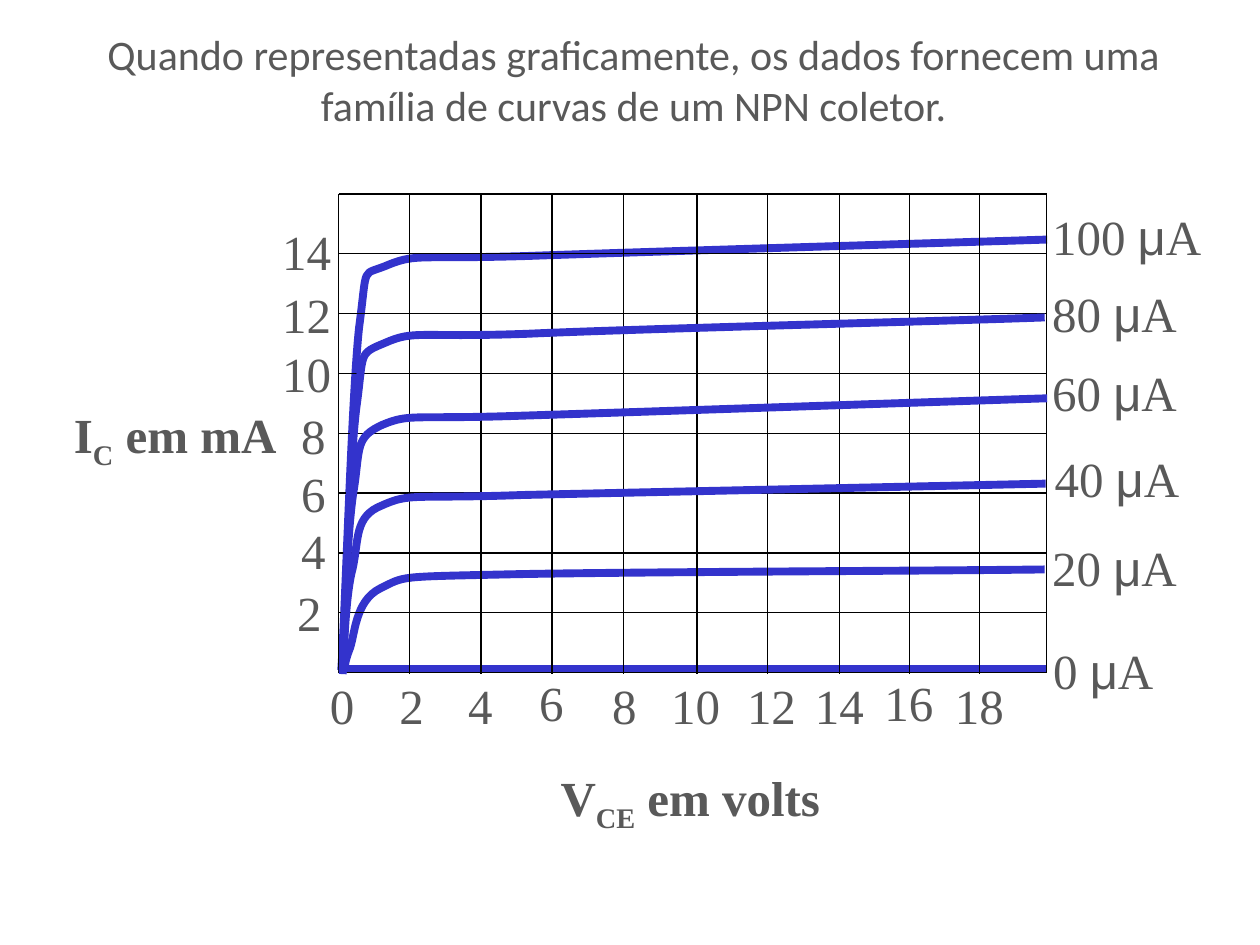
"""Build the slide with the family of NPN collector curves."""
from lxml.etree import SubElement
from pptx import Presentation
from pptx.dml.color import RGBColor
from pptx.enum.text import MSO_AUTO_SIZE, PP_ALIGN
from pptx.oxml.ns import qn
from pptx.util import Cm, Pt

BLUE, BLACK, GRAY = "3333CC", "000000", "595959"
SERIF = "Times New Roman"
LEFT, RIGHT, TOP, BOTTOM, ROWS = 6.83, 21.1, 3.91, 13.56, 8
GRID_X = [8.26, 9.7, 11.13, 12.57, 14.05, 15.47, 16.92, 18.34, 19.74]
VOLT_X = [6.91, 8.31, 9.7, 11.13, 12.6, 14.03, 15.56, 16.93, 18.33, 19.75]
MA_Y = [11.61, 10.36, 9.22, 8.05, 6.81, 5.61, 4.34]
CURRENTS = [("20", 20.96, 10.72), ("0", 20.98, 12.78), ("100", 20.96, 4.04),
            ("80", 20.96, 5.59), ("60", 20.96, 7.19), ("40", 21.01, 8.92)]

CURVES = {
    "20": [(6.93, 13.54), (6.96, 13.49), (6.93, 13.39), (7.04, 13.11),
           (7.16, 12.83), (7.14, 12.12), (7.67, 11.86),
           (8.18, 11.61), (7.98, 11.63), (10.21, 11.58),
           (12.45, 11.53), (18.8, 11.51), (21.06, 11.48)],
    "100": [(6.88, 13.51), (6.96, 12.34), (7.09, 7.98), (7.24, 6.6),
            (7.42, 5.26), (7.26, 5.59), (7.85, 5.33),
            (8.41, 5.11), (8.46, 5.23), (10.67, 5.16),
            (12.88, 5.08), (18.95, 4.9), (21.11, 4.83)],
    "80": [(6.91, 13.54), (6.96, 12.65), (7.04, 9.3), (7.19, 8.18),
           (7.34, 7.09), (7.21, 7.14), (7.77, 6.91),
           (8.36, 6.65), (8.41, 6.81), (10.62, 6.73),
           (12.83, 6.63), (18.87, 6.48), (21.06, 6.4)],
    "60": [(6.91, 13.54), (6.93, 12.93), (6.99, 10.67), (7.14, 9.83),
           (7.26, 9.02), (7.16, 8.81), (7.72, 8.56),
           (8.28, 8.33), (8.31, 8.46), (10.54, 8.38),
           (12.78, 8.31), (18.92, 8.1), (21.11, 8.03)],
    "40": [(6.91, 13.59), (6.93, 13.23), (6.96, 12.01), (7.11, 11.46),
           (7.24, 10.87), (7.14, 10.41), (7.7, 10.19),
           (8.28, 9.93), (8.31, 10.06), (10.52, 9.98),
           (12.75, 9.93), (18.87, 9.8), (21.08, 9.75)],
}

prs = Presentation()
prs.slide_width, prs.slide_height = Cm(25.4), Cm(19.05)
s = prs.slides.add_slide(prs.slide_layouts[6])


def add_line(x1, y1, x2, y2, color, width):
    cn = s.shapes.add_connector(1, Cm(x1), Cm(y1), Cm(x2), Cm(y2))
    cn.line.color.rgb = RGBColor.from_string(color)
    cn.line.width = Pt(width)
    SubElement(cn._element.spPr, qn("a:effectLst"))


def add_curve(points):
    vertices = [(Cm(x), Cm(y)) for x, y in points]
    fb = s.shapes.build_freeform(*vertices[0])
    fb.add_line_segments(vertices[1:], close=False)
    sp = fb.convert_to_shape()
    segments = list(sp._element.iter(qn("a:lnTo")))
    outline = segments[0].getparent()
    for i in range(0, len(segments), 3):
        bezier = SubElement(outline, qn("a:cubicBezTo"))
        for segment in segments[i:i + 3]:
            bezier.append(segment[0])
            outline.remove(segment)
    sp.shadow.inherit = False
    sp.fill.background()
    sp.line.color.rgb = RGBColor.from_string(BLUE)
    sp.line.width = Pt(4.5)


texts = []
for i, x in enumerate(VOLT_X):
    w = 1.02 if i < 5 else 1.5
    y = 13.44 if i in (3, 8) else 13.49
    texts.append((x - w / 2, y, w, 1.45, [[str(2 * i)]], SERIF, 28, False))
for i, y in enumerate(MA_Y, 1):
    x, w = (5.82, 1.02) if i < 5 else (5.44, 1.5)
    texts.append((5.74 if i == 1 else x, y, w, 1.45, [[str(2 * i)]], SERIF, 28, False))
texts += [
    (11.05, 15.34, 5.92, 1.45, [["V", "CE", " em volts"]], SERIF, 28, True),
    (1.24, 8.03, 4.7, 1.45, [["I", "C", " em mA"]], SERIF, 28, True),
    (1.8, 0.46, 21.95, 2.31, [["Quando representadas graficamente, os dados fornecem uma"],
                              ["família de curvas de um NPN coletor."]], "Calibri", 24, False),
]
for name, x, y in CURRENTS:
    texts.append((x, y, 2.06 + 0.5 * len(name), 1.45, [[name + " ", "μ", "A"]], SERIF, 28, False))

for x, y, w, h, lines, font, size, bold in texts:
    tf = s.shapes.add_textbox(Cm(x), Cm(y), Cm(w), Cm(h)).text_frame
    tf.word_wrap = False
    tf.auto_size = MSO_AUTO_SIZE.SHAPE_TO_FIT_TEXT
    for i, runs in enumerate(lines):
        p = tf.add_paragraph() if i else tf.paragraphs[0]
        p.alignment = PP_ALIGN.CENTER if font == "Calibri" else PP_ALIGN.LEFT
        for text in runs:
            r = p.add_run()
            r.text = text
            r.font.name = "Arial" if text == "μ" else font
            r.font.size = Pt(size)
            r.font.bold = bold
            r.font.color.rgb = RGBColor.from_string(GRAY)
            if text in ("C", "CE"):
                r.font._element.set("baseline", "-25000")

add_curve(CURVES["20"])
add_line(6.88, 13.49, 21.08, 13.49, BLUE, 4.5)
add_curve(CURVES["100"])

row_h = (BOTTOM - TOP) / ROWS
add_line(LEFT, TOP, LEFT, BOTTOM, BLACK, 0.75)
for i in range(ROWS + 1):
    add_line(LEFT, TOP + i * row_h, RIGHT, TOP + i * row_h, BLACK, 0.75)
for x in GRID_X:
    add_line(x, TOP + 0.03, x, BOTTOM + 0.03, BLACK, 0.75)
add_line(RIGHT, TOP, RIGHT, BOTTOM, BLACK, 0.75)

for name in ("80", "60", "40"):
    add_curve(CURVES[name])

prs.save("out.pptx")
